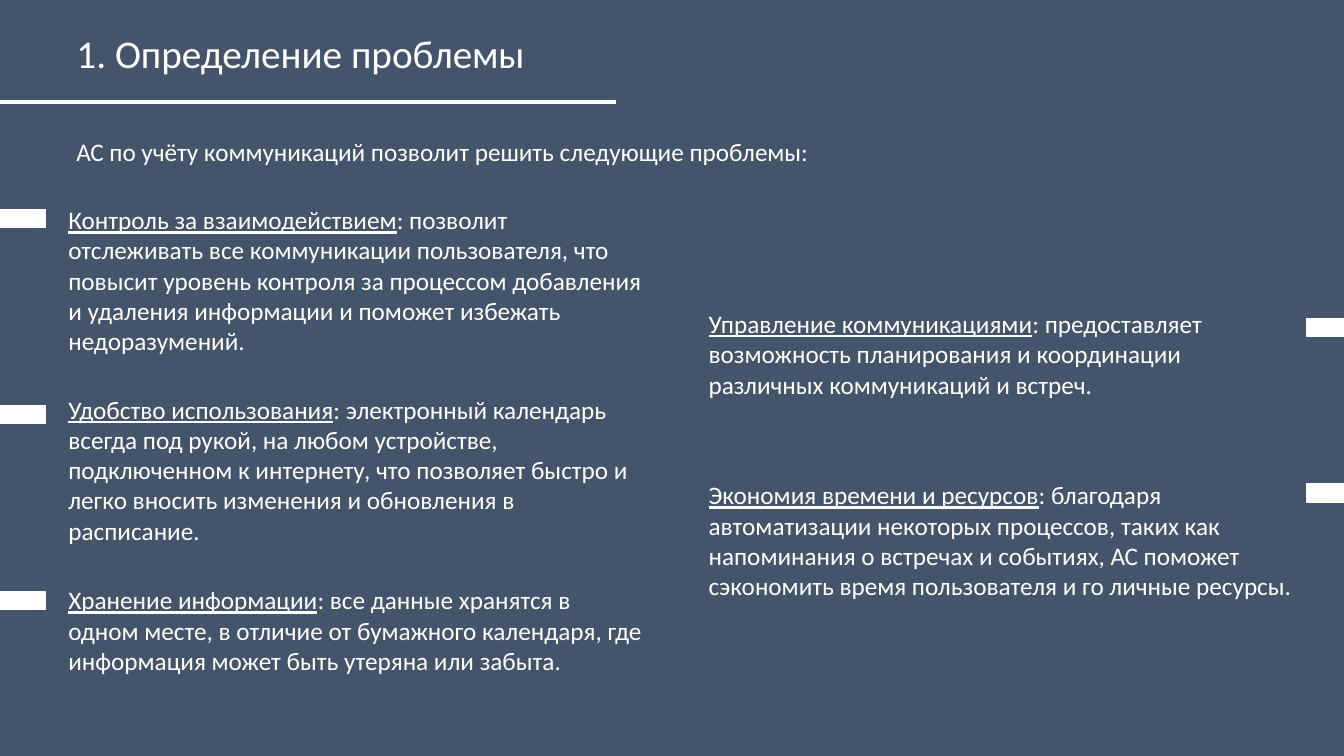
from pptx import Presentation
from pptx.dml.color import RGBColor
from pptx.enum.shapes import MSO_CONNECTOR, MSO_SHAPE
from pptx.enum.text import MSO_AUTO_SIZE
from pptx.oxml.ns import qn
from pptx.util import Inches, Pt
from lxml import etree

STRAIGHT = MSO_CONNECTOR.STRAIGHT
RECTANGLE = MSO_SHAPE.RECTANGLE
FIT_SHAPE = MSO_AUTO_SIZE.SHAPE_TO_FIT_TEXT
WHITE = RGBColor(0xFF, 0xFF, 0xFF)
SLATE = RGBColor(0x44, 0x54, 0x6A)

MARKER_WIDTH, MARKER_HEIGHT = 0.75, 0.18
LEFT_COLUMN = {"left": 0.58, "width": 5.93, "marker_left": -0.3}
RIGHT_COLUMN = {"left": 6.93, "width": 6.03, "marker_left": 12.96}

LEFT_PROBLEMS = [
    (1.98, 1.62, 0.1, "Контроль за взаимодействием",
     ": позволит отслеживать все коммуникации пользователя, что повысит уровень "
     "контроля за процессом добавления и удаления информации и поможет избежать "
     "недоразумений."),
    (3.86, 1.62, 0.16, "Удобство использования",
     ": электронный календарь всегда под рукой, на любом устройстве, подключенном "
     "к интернету, что позволяет быстро и легко вносить изменения и обновления в "
     "расписание."),
    (5.75, 1.01, 0.12, "Хранение информации",
     ": все данные хранятся в одном месте, в отличие от бумажного календаря, где "
     "информация может быть утеряна или забыта."),
]
RIGHT_PROBLEMS = [
    (3.01, 1.01, 0.15, "Управление коммуникациями",
     ": предоставляет возможность планирования и координации различных "
     "коммуникаций и встреч."),
    (4.71, 1.31, 0.09, "Экономия времени и ресурсов",
     ": благодаря автоматизации некоторых процессов, таких как напоминания о "
     "встречах и событиях, АС поможет сэкономить время пользователя и го личные "
     "ресурсы."),
]


def add_text(slide, box, runs, size=18, wrap=True):
    frame = slide.shapes.add_textbox(*map(Inches, box)).text_frame
    frame.word_wrap = wrap
    frame.auto_size = FIT_SHAPE
    for text, underline in runs:
        run = frame.paragraphs[0].add_run()
        run.text = text
        run.font.color.rgb = WHITE
        font_format = {"name": "Calibri", "size": Pt(size), "underline": underline}
        for name, value in font_format.items():
            setattr(run.font, name, value)


def add_marker(slide, left, top):
    marker = slide.shapes.add_shape(
        RECTANGLE, *map(Inches, (left, top, MARKER_WIDTH, MARKER_HEIGHT)))
    marker.shadow.inherit = False
    marker.fill.solid()
    marker.fill.fore_color.rgb = WHITE
    marker.line.color.rgb = WHITE
    marker.line.width = Pt(1)


def add_header(slide, left, top, width, height):
    add_text(slide, (left + 0.66, top + 0.24, 4.69, 0.57),
             [("1. Определение проблемы", False)], size=28, wrap=False)
    bottom = top + height
    rule = slide.shapes.add_connector(
        STRAIGHT, *map(Inches, (left, bottom, left + width, bottom)))
    rule.line.color.rgb = WHITE
    rule.line.width = Pt(3)
    etree.SubElement(rule._element.spPr, qn("a:effectLst"))


def add_problem_column(slide, column, problems):
    for top, height, marker_offset, heading, description in problems:
        add_text(slide, (column["left"], top, column["width"], height),
                 [(heading, True), (description, False)])
        add_marker(slide, column["marker_left"], top + marker_offset)


def main():
    presentation = Presentation()
    presentation.slide_width = Inches(13.33)
    presentation.slide_height = Inches(7.5)
    slide = presentation.slides.add_slide(presentation.slide_layouts[6])
    slide.background.fill.solid()
    slide.background.fill.fore_color.rgb = SLATE
    add_header(slide, 0, 0, 6.11, 1.01)
    add_text(slide, (0.66, 1.3, 7.57, 0.4),
             [("АС по учёту коммуникаций позволит решить следующие проблемы:", False)])
    add_problem_column(slide, LEFT_COLUMN, LEFT_PROBLEMS)
    add_problem_column(slide, RIGHT_COLUMN, RIGHT_PROBLEMS)
    presentation.save("out.pptx")


if __name__ == "__main__":
    main()
